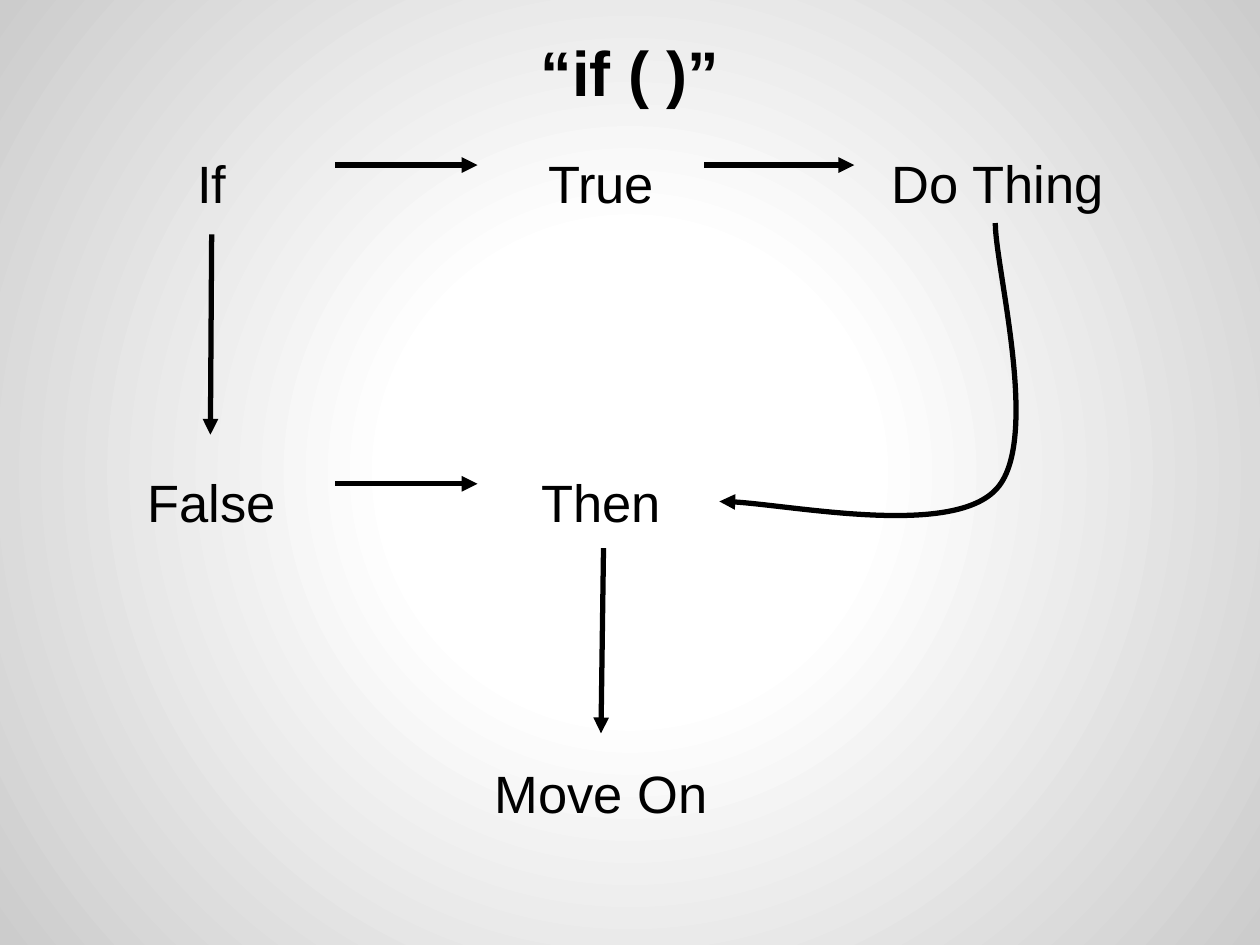
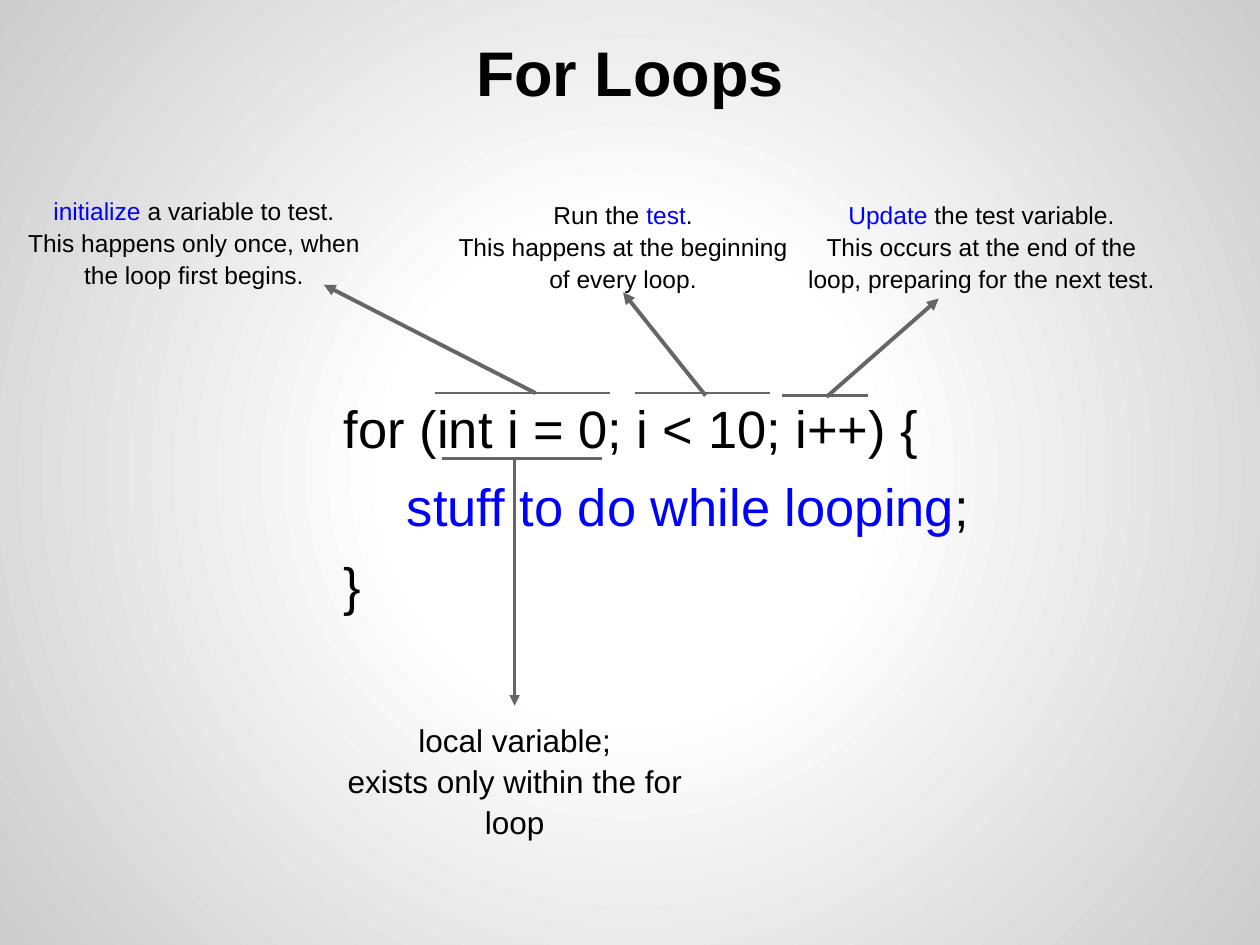
from dataclasses import dataclass

from lxml import etree
from pptx import Presentation
from pptx.dml.color import RGBColor
from pptx.enum.shapes import MSO_CONNECTOR
from pptx.enum.text import MSO_ANCHOR, MSO_AUTO_SIZE, PP_ALIGN
from pptx.oxml import parse_xml
from pptx.oxml.ns import nsdecls, qn
from pptx.util import Inches, Pt

COLUMNS, ROWS = 100, 75
SLIDE_WIDTH, SLIDE_HEIGHT = Inches(10), Inches(7.5)
TOP, LEFT, BOTTOM, RIGHT = range(4)


@dataclass(frozen=True)
class Theme:
    font: str = "Arial"
    ink: str = "000000"
    accent: str = "0000FF"
    marker: str = "666666"
    glow: str = "FFFFFF"
    edge: str = "CCCCCC"
    title_size: float = 36
    main_size: float = 30
    remark_size: float = 18
    note_size: float = 14
    flow_line: float = 3
    pointer_line: float = 2.25
    bar_line: float = 1.5
    line_spacing: float = 1.08
    code_gap: float = 6


THEME = Theme()


@dataclass(frozen=True)
class Box:
    column: float
    row: float
    width: float
    height: float

    def point(self, column, row):
        return (round((self.column + column) * SLIDE_WIDTH / COLUMNS),
                round((self.row + row) * SLIDE_HEIGHT / ROWS))

    def inner(self, column, row, width, height):
        return Box(self.column + column, self.row + row, width, height)

    def frame(self):
        left, top = self.point(0, 0)
        right, bottom = self.point(self.width, self.height)
        return left, top, right - left, bottom - top


TITLE_BOX = Box(5, 3, 90, 6.7)
FLOW_BOX = Box(7, 10.6, 82, 53.4)
CODE_BOX = Box(26.3, 30, 51.9, 19.8)


def paint_background(master):
    master.background.fill.solid()
    properties = master.element.find(".//" + qn("p:bgPr"))
    stops = "".join(
        f'<a:gs pos="{share * 1000}"><a:srgbClr val="{color}"/></a:gs>'
        for share, color in ((0, THEME.glow), (30, THEME.glow), (100, THEME.edge)))
    properties.replace(properties[0], parse_xml(
        f'<a:gradFill {nsdecls("a")}><a:gsLst>{stops}</a:gsLst><a:path path="circle">'
        '<a:fillToRect l="50000" t="50000" r="50000" b="50000"/></a:path></a:gradFill>'))


def write(holder, paragraphs, size, align=PP_ALIGN.CENTER, anchor=MSO_ANCHOR.TOP,
          bold=False):
    frame = holder.text_frame
    frame.word_wrap = True
    frame.auto_size = MSO_AUTO_SIZE.NONE
    frame.vertical_anchor = anchor
    frame.margin_left = frame.margin_top = Inches(0.1)
    frame.margin_right = frame.margin_bottom = Inches(0.1)
    for index, runs in enumerate(paragraphs):
        paragraph = frame.add_paragraph() if index else frame.paragraphs[0]
        paragraph.alignment = align
        paragraph.line_spacing = THEME.line_spacing
        for words, color in runs:
            run = paragraph.add_run()
            run.text = words
            run.font.name = THEME.font
            run.font.size = Pt(size)
            run.font.bold = bold
            run.font.color.rgb = RGBColor.from_string(color)
    return frame.paragraphs


def place(placeholder, box):
    (placeholder.left, placeholder.top,
     placeholder.width, placeholder.height) = box.frame()


def add_titled_slide(deck, layout, heading):
    slide = deck.slides.add_slide(deck.slide_layouts[layout])
    place(slide.shapes.title, TITLE_BOX)
    write(slide.shapes.title, [[(heading, THEME.ink)]], THEME.title_size,
          anchor=MSO_ANCHOR.BOTTOM, bold=True)
    return slide


def add_label(slide, box, paragraphs, size):
    label = slide.shapes.add_textbox(*box.frame())
    write(label, paragraphs, size)
    return label


def style_line(stroke, color, width, pointed):
    stroke.line.color.rgb = RGBColor.from_string(color)
    stroke.line.width = Pt(width)
    if pointed:
        outline = stroke.element.spPr.find(qn("a:ln"))
        etree.SubElement(outline, qn("a:tailEnd"), type="triangle")


def add_stroke(slide, start, end, color, width, pointed=True):
    stroke = slide.shapes.add_connector(MSO_CONNECTOR.STRAIGHT, *start, *end)
    style_line(stroke, color, width, pointed)
    etree.SubElement(stroke.element.spPr, qn("a:effectLst"))
    return stroke


def add_curved_arrow(slide, start, controls, color, width):
    builder = slide.shapes.build_freeform(*start)
    builder.add_line_segments(controls, close=False)
    curve = builder.convert_to_shape()
    outline = curve.element.spPr.find(".//" + qn("a:path"))
    corners = outline.findall(qn("a:lnTo"))
    for first in range(0, len(corners), 3):
        bend = etree.SubElement(outline, qn("a:cubicBezTo"))
        for corner in corners[first:first + 3]:
            bend.append(corner[0])
            outline.remove(corner)
    curve.fill.background()
    curve.shadow.inherit = False
    style_line(curve, color, width, True)


def draw_flow(slide, box):
    columns, rows = (0, 30.9, 62.4), (0, 25.3, 48.4)
    steps = {"Do Thing": (2, 0), "Move On": (1, 2), "If": (0, 0),
             "True": (1, 0), "False": (0, 1), "Then": (1, 1)}
    labels = {
        step: add_label(slide, box.inner(columns[column], rows[row], 19.6, 5),
                        [[(step, THEME.ink)]], THEME.main_size)
        for step, (column, row) in steps.items()}
    pen = (THEME.ink, THEME.flow_line)
    for source, target in (("If", "True"), ("False", "Then")):
        link = add_stroke(slide, (0, 0), (0, 0), *pen)
        link.begin_connect(labels[source], RIGHT)
        link.end_connect(labels[target], LEFT)
    for start, end in (((48.9, 2.5), (60.8, 2.5)),
                       ((9.8, 8), (9.7, 23.9)),
                       ((40.9, 32.9), (40.7, 47.6))):
        add_stroke(slide, box.point(*start), box.point(*end), *pen)
    bends = ((72, 10.7), (75.7, 24.6), (72, 28.3),
             (68.4, 32), (53.8, 29.1), (50.1, 29.2))
    add_curved_arrow(slide, box.point(72, 7.1),
                     [box.point(*bend) for bend in bends], *pen)


def write_code(slide, box):
    code = slide.placeholders[1]
    place(code, box)
    lines = write(code, [
        [("for (int i = 0; i < 10; i++) {", THEME.ink)],
        [("stuff to do while looping", THEME.accent), (";", THEME.ink)],
        [("}", THEME.ink)],
    ], THEME.main_size, align=PP_ALIGN.LEFT)
    for line, indent in zip(lines, (0, 0.5, 0)):
        line.space_before = Pt(THEME.code_gap)
        properties = line._p.get_or_add_pPr()
        properties.set("marL", "0")
        properties.set("indent", str(Inches(indent)))
        etree.SubElement(properties, qn("a:buNone"))


def add_callout(slide, box, paragraphs, bar, start, tip=None, side=None,
                size=THEME.note_size, pointer=THEME.pointer_line):
    note = add_label(slide, box, paragraphs, size)
    bar_left, bar_right, bar_row = bar
    add_stroke(slide, box.point(bar_left, bar_row), box.point(bar_right, bar_row),
               THEME.marker, THEME.bar_line, pointed=False)
    arrow = add_stroke(slide, box.point(*start), box.point(*(tip or start)),
                       THEME.marker, pointer)
    if side is not None:
        arrow.end_connect(note, side)


def build_if_slide(deck):
    slide = add_titled_slide(deck, 5, "“if ( )”")
    draw_flow(slide, FLOW_BOX)


def build_loop_slide(deck):
    ink, accent = THEME.ink, THEME.accent
    slide = add_titled_slide(deck, 1, "For Loops")
    write_code(slide, CODE_BOX)
    add_callout(slide, Box(0.2, 14.4, 30.4, 8), [
        [("initialize", accent), (" a variable to test.", ink)],
        [("This happens only once, when the loop first begins.", ink)],
    ], bar=(34.3, 48.2, 16.8), start=(42.3, 16.8), tip=(25.5, 8.2))
    add_callout(slide, Box(35.2, 14.7, 28.5, 8.5), [
        [("Run the ", ink), ("test", accent), (".", ink)],
        [("This happens at the beginning of every loop.", ink)],
    ], bar=(15.2, 25.9, 16.5), start=(20.8, 16.7), side=BOTTOM)
    add_callout(slide, Box(62.7, 14.7, 30.4, 8.5), [
        [("Update", accent), (" the test variable.", ink)],
        [("This occurs at the end of the loop, preparing for the next test.", ink)],
    ], bar=(-0.6, 6.2, 16.7), start=(2.9, 16.8), tip=(11.8, 9))
    add_callout(slide, Box(24.9, 56, 31.9, 14.8), [
        [("local variable;", ink)],
        [("exists only within the for loop", ink)],
    ], bar=(10.2, 22.9, -19.6), start=(15.95, -19.5), side=TOP,
        size=THEME.remark_size, pointer=THEME.bar_line)


def main():
    deck = Presentation()
    deck.slide_width, deck.slide_height = SLIDE_WIDTH, SLIDE_HEIGHT
    paint_background(deck.slide_master)
    build_if_slide(deck)
    build_loop_slide(deck)
    deck.save("out.pptx")


if __name__ == "__main__":
    main()
